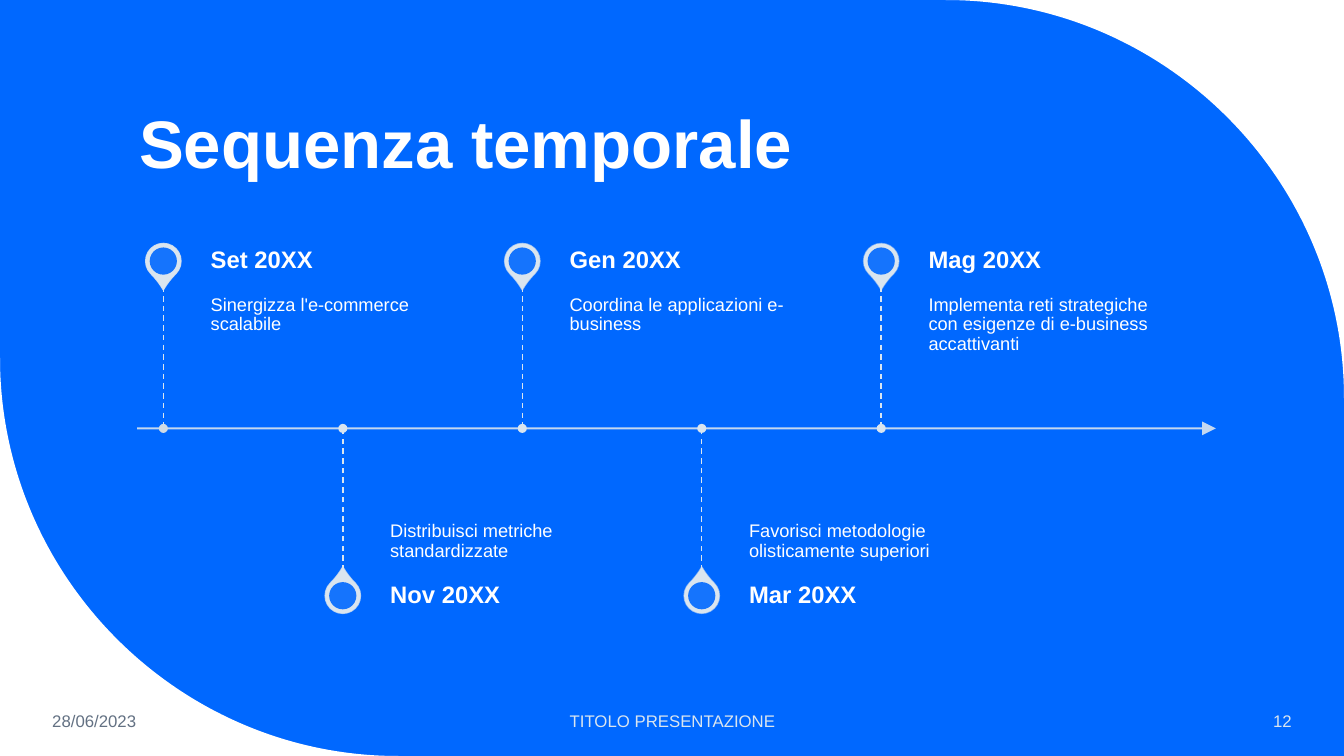
from dataclasses import dataclass

from lxml import etree
from pptx import Presentation
from pptx.dml.color import RGBColor
from pptx.enum.dml import MSO_LINE
from pptx.enum.shapes import MSO_CONNECTOR, MSO_SHAPE
from pptx.enum.text import MSO_ANCHOR, MSO_AUTO_SIZE, PP_ALIGN
from pptx.oxml.ns import qn
from pptx.util import Inches, Pt

TEARDROP, OVAL = MSO_SHAPE.TEAR, MSO_SHAPE.OVAL
STRAIGHT, DASH = MSO_CONNECTOR.STRAIGHT, MSO_LINE.DASH
TOP, MIDDLE, BOTTOM = MSO_ANCHOR.TOP, MSO_ANCHOR.MIDDLE, MSO_ANCHOR.BOTTOM
LEFT, CENTER, RIGHT = PP_ALIGN.LEFT, PP_ALIGN.CENTER, PP_ALIGN.RIGHT

BLUE = RGBColor(0x00, 0x68, 0xFF)
WHITE = RGBColor(0xFF, 0xFF, 0xFF)
PALE = RGBColor(0xDA, 0xE5, 0xEF)
DIM_PALE = RGBColor(0xD0, 0xDB, 0xE4)
GREY = RGBColor(0x63, 0x71, 0x83)

FONT = "Arial"
WIDTH, HEIGHT = 13.33, 7.5
CORNER = 3.95
ARC_PULL = 0.55
AXIS_Y = 4.25
FIRST_X, STEP = 1.62, 1.78
STEM = 1.41
PIN_OFFSET = 1.66
LABEL_W, LABEL_H = 2.53, 0.5


@dataclass
class Milestone:
    date: str
    text: str
    dot: RGBColor = PALE


@dataclass
class Footer:
    text: str
    left: float
    width: float
    align: PP_ALIGN
    color: RGBColor


MILESTONES = [
    Milestone("Set 20XX", "Sinergizza l'e-commerce\nscalabile", DIM_PALE),
    Milestone("Nov 20XX", "Distribuisci metriche standardizzate"),
    Milestone("Gen 20XX", "Coordina le applicazioni e-business"),
    Milestone("Mar 20XX", "Favorisci metodologie olisticamente superiori"),
    Milestone("Mag 20XX", "Implementa reti strategiche con esigenze di e-business accattivanti"),
]
FOOTERS = [
    Footer("28/06/2023", 0.42, 1.86, LEFT, GREY),
    Footer("TITOLO PRESENTAZIONE", 4.42, 4.5, CENTER, PALE),
    Footer("12", 11.1, 1.81, RIGHT, PALE),
]


def set_alpha(parent, percent: int) -> None:
    color = next(parent.iter(qn("a:srgbClr")))
    etree.SubElement(color, qn("a:alpha")).set("val", str(percent * 1000))


def write(tf, text: str, size: float, color: RGBColor, bold: bool = False,
          align: PP_ALIGN = LEFT, anchor: MSO_ANCHOR = MIDDLE,
          insets: tuple = (0.1, 0.05, 0.1, 0.05), spacing: float = 0.9) -> None:
    tf.word_wrap = True
    tf.auto_size = MSO_AUTO_SIZE.NONE
    tf.vertical_anchor = anchor
    tf.margin_left, tf.margin_top, tf.margin_right, tf.margin_bottom = map(Inches, insets)
    p = tf.paragraphs[0]
    p.alignment = align
    p.line_spacing = spacing
    for i, line in enumerate(text.split("\n")):
        if i:
            p.add_line_break()
        r = p.add_run()
        r.text = line
        r.font.name = FONT
        r.font.size = Pt(size)
        r.font.bold = bold
        r.font.color.rgb = color


def add_text(s, left: float, top: float, width: float, height: float,
             text: str, size: float, color: RGBColor, **style) -> None:
    box = s.shapes.add_textbox(Inches(left), Inches(top), Inches(width), Inches(height))
    write(box.text_frame, text, size, color, **style)


def paint(sp, color: RGBColor) -> None:
    sp.shadow.inherit = False
    sp.fill.solid()
    sp.fill.fore_color.rgb = color
    sp.line.fill.background()


def add_centred(s, preset, x: float, y: float, size: float, color: RGBColor):
    sp = s.shapes.add_shape(preset, Inches(x - size / 2), Inches(y - size / 2),
                            Inches(size), Inches(size))
    paint(sp, color)
    return sp


def add_line(s, x1: float, y1: float, x2: float, y2: float, width: float):
    line = s.shapes.add_connector(STRAIGHT, Inches(x1), Inches(y1), Inches(x2), Inches(y2))
    line.line.color.rgb = PALE
    line.line.width = Pt(width)
    etree.SubElement(line._element.spPr, qn("a:effectLst"))
    return line


def add_corner(s, x: float, y: float) -> None:
    arc_start = (Inches(abs(x - CORNER)), Inches(y))
    arc_end = (Inches(x), Inches(abs(y - CORNER)))
    builder = s.shapes.build_freeform(Inches(x), Inches(y))
    builder.add_line_segments([arc_start, arc_end], close=True)
    sp = builder.convert_to_shape()
    paint(sp, WHITE)

    points = list(sp._element.spPr.iter(qn("a:pt")))
    corner, start, end = [(int(pt.get("x")), int(pt.get("y"))) for pt in points[:3]]
    segment = points[2].getparent()
    curve = etree.Element(qn("a:cubicBezTo"))
    for px, py in (start, end):
        etree.SubElement(curve, qn("a:pt"), x=str(round(px + ARC_PULL * (corner[0] - px))),
                         y=str(round(py + ARC_PULL * (corner[1] - py))))
    curve.append(points[2])
    segment.getparent().replace(segment, curve)


def add_axis(s) -> None:
    axis = add_line(s, 1.36, AXIS_Y, 12.06, AXIS_Y, 1.5)
    ln = axis.line._get_or_add_ln()
    set_alpha(ln, 90)
    etree.SubElement(ln, qn("a:tailEnd"), type="triangle", w="lg", len="lg")


def add_milestone(s, index: int, m: Milestone) -> None:
    x = FIRST_X + STEP * index
    above = index % 2 == 0
    side = -1 if above else 1
    pin_y = AXIS_Y + side * PIN_OFFSET
    stem_y = AXIS_Y + side * STEM

    pin = add_centred(s, TEARDROP, x, pin_y, 0.35, PALE)
    pin.adjustments[0] = 1.15
    pin.rotation = 135 if above else 315
    pin.line.color.rgb = PALE
    pin.line.width = Pt(1)
    set_alpha(pin.line._get_or_add_ln(), 90 - 10 * index)
    hole = add_centred(s, OVAL, x, pin_y, 0.27, BLUE)
    set_alpha(hole._element.spPr, 90)

    add_text(s, x + 0.47, min(AXIS_Y, stem_y), LABEL_W, STEM, m.text, 13, WHITE,
             anchor=TOP if above else BOTTOM,
             insets=(0, 0.09, 0.09, 0.14) if above else (0, 0.14, 0, 0.09))
    add_text(s, x + 0.47, stem_y - LABEL_H if above else stem_y, LABEL_W, LABEL_H,
             m.date, 17, WHITE, bold=True, insets=(0, 0, 0.12, 0))

    add_line(s, x, stem_y, x, AXIS_Y, 1).line.dash_style = DASH
    add_centred(s, OVAL, x, AXIS_Y, 0.09, m.dot)


def main() -> None:
    prs = Presentation()
    prs.slide_width, prs.slide_height = Inches(WIDTH), Inches(HEIGHT)
    s = prs.slides.add_slide(prs.slide_layouts[5])
    s.background.fill.solid()
    s.background.fill.fore_color.rgb = BLUE

    add_corner(s, WIDTH, 0)
    add_corner(s, 0, HEIGHT)

    title = s.shapes.title
    title.left, title.top = Inches(1.28), Inches(0.42)
    title.width, title.height = Inches(10.69), Inches(1.45)
    write(title.text_frame, "Sequenza temporale", 48, WHITE, bold=True, anchor=BOTTOM)

    add_axis(s)
    for i, m in enumerate(MILESTONES):
        add_milestone(s, i, m)
    for f in FOOTERS:
        add_text(s, f.left, 6.95, f.width, 0.4, f.text, 12, f.color,
                 align=f.align, spacing=1.0)

    prs.save("out.pptx")


if __name__ == "__main__":
    main()
